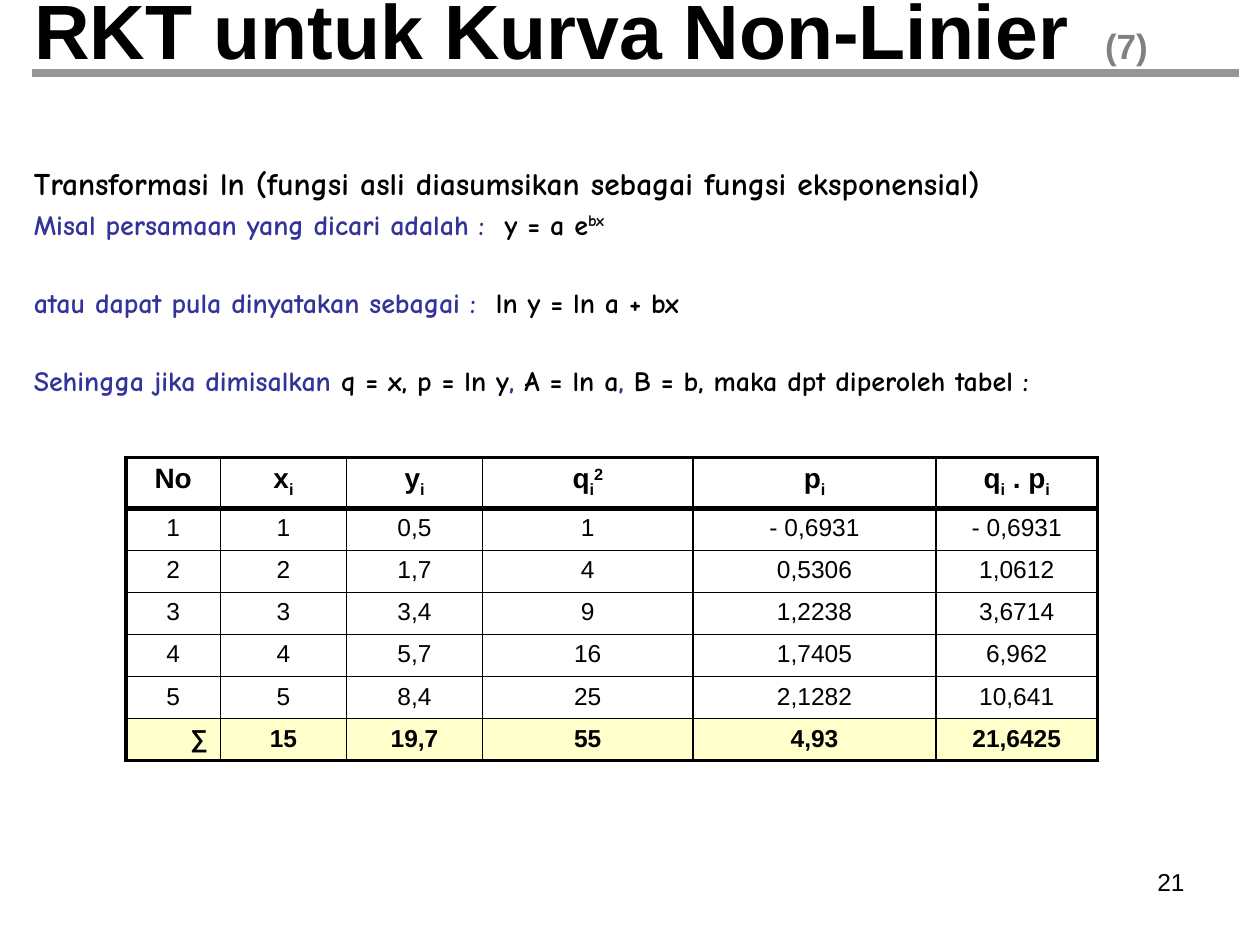
from dataclasses import dataclass

from lxml.etree import SubElement
from pptx import Presentation
from pptx.dml.color import RGBColor as Rgb
from pptx.enum.shapes import MSO_CONNECTOR as Link
from pptx.enum.text import MSO_ANCHOR as Anchor, MSO_AUTO_SIZE as Fit, PP_ALIGN as Align
from pptx.oxml import parse_xml
from pptx.oxml.ns import nsdecls, qn
from pptx.util import Inches, Pt


@dataclass(frozen=True)
class Theme:
    """Colours, fonts and type sizes of the slide."""
    ink: str = "000000"
    blue: str = "333399"
    grey: str = "808080"
    rule: str = "969696"
    sum: str = "FFFFCC"
    sans: str = "Arial"
    hand: str = "Comic Neue"
    title: int = 44
    mark: int = 20
    lead: int = 18
    body: int = 16
    cell: int = 14


T = Theme()
SUB = {"base": -25}
SUP = {"base": 30}
BLUE = {"color": T.blue}
LINE, GAP = 3.2, 25.5

HEAD = [
    ["No"],
    ["x", ("i", SUB)],
    ["y", ("i", SUB)],
    ["q", ("i", SUB), ("2", SUP)],
    ["p", ("i", SUB)],
    ["q", ("i", SUB), " . p", ("i", SUB)],
]
ROWS = [
    ["1", "1", "0,5", "1", "- 0,6931", "- 0,6931"],
    ["2", "2", "1,7", "4", "0,5306", "1,0612"],
    ["3", "3", "3,4", "9", "1,2238", "3,6714"],
    ["4", "4", "5,7", "16", "1,7405", "6,962"],
    ["5", "5", "8,4", "25", "2,1282", "10,641"],
    ["∑", "15", "19,7", "55", "4,93", "21,6425"],
]
COLS = [0.75, 1, 1.08, 1.67, 1.93, 1.28]
BODY = [
    (0, T.lead, ["Transformasi ln (fungsi asli diasumsikan sebagai fungsi eksponensial)"]),
    (LINE, T.body, [("Misal persamaan yang dicari adalah :  ", BLUE), "y = a e", ("bx", SUP)]),
    (GAP, T.body, [("atau dapat pula dinyatakan sebagai :  ", BLUE), "ln y = ln a + bx"]),
    (GAP, T.body, [("Sehingga jika dimisalkan ", BLUE), "q = x, p = ln y", (", ", BLUE),
                   "A = ln a", (", ", BLUE), "B = b, maka dpt diperoleh tabel :"]),
]


def write(para, parts, align=Align.LEFT, before=0, **form):
    """Fill a paragraph with plain or specially formatted runs."""
    para.alignment = align
    para.space_before = Pt(before)
    for part in parts:
        words, own = (part, {}) if isinstance(part, str) else part
        look = {"font": T.sans, "size": T.cell, "color": T.ink, "bold": False, **form, **own}
        run = para.add_run()
        run.text = words
        run.font.name = look["font"]
        run.font.size = Pt(look["size"])
        run.font.bold = look["bold"]
        run.font.color.rgb = Rgb.from_string(look["color"])
        if "base" in look:
            run.font._element.set("baseline", str(look["base"] * 1000))


def place(shape, box):
    """Move a shape to a box given in inches."""
    shape.left, shape.top, shape.width, shape.height = map(Inches, box)


def add_title(slide, box, stop):
    """Set the title, with its part number at a tab stop."""
    shape = slide.shapes.title
    place(shape, box)
    frame = shape.text_frame
    frame.auto_size = Fit.NONE
    frame.vertical_anchor = Anchor.MIDDLE
    para = frame.paragraphs[0]
    write(para, ["RKT untuk Kurva Non-Linier", ("\t(7)", {"size": T.mark, "color": T.grey})],
          size=T.title, bold=True)
    tabs = SubElement(para._p.get_or_add_pPr(), qn("a:tabLst"))
    SubElement(tabs, qn("a:tab"), pos=str(Inches(stop)), algn="l")


def add_rule(slide, left, top, width):
    """Draw the rule below the title."""
    line = slide.shapes.add_connector(
        Link.STRAIGHT, Inches(left), Inches(top), Inches(left + width), Inches(top))
    line.line.color.rgb = Rgb.from_string(T.rule)
    line.line.width = Pt(4.5)
    SubElement(line._element.spPr, qn("a:effectLst"))


def add_text(slide, box, items, **form):
    """Add a text box with one paragraph for each item."""
    frame = slide.shapes.add_textbox(*map(Inches, box)).text_frame
    frame.word_wrap = True
    for at, (before, size, parts) in enumerate(items):
        para = frame.add_paragraph() if at else frame.paragraphs[0]
        write(para, parts, before=before, size=size, **form)


def edge(cell, **sides):
    """Set the border widths of a cell, in points."""
    props = cell._tc.get_or_add_tcPr()
    for at, side in enumerate("LRTB"):
        props.insert(at, parse_xml(
            f'<a:ln{side} {nsdecls("a")} w="{Pt(sides[side])}"><a:solidFill>'
            f'<a:srgbClr val="{T.ink}"/></a:solidFill></a:ln{side}>'))


def add_grid(slide, left, top, head, row):
    """Add the table with its header and sum row."""
    data = [HEAD] + [[[word] for word in line] for line in ROWS]
    last, end = len(data) - 1, len(COLS) - 1
    high = head + row * last
    table = slide.shapes.add_table(
        last + 1, end + 1, *map(Inches, (left, top, sum(COLS), high))).table
    table.first_row = table.horz_banding = False
    for col, width in zip(table.columns, COLS):
        col.width = Inches(width)
    for r, line in enumerate(data):
        table.rows[r].height = Inches(row if r else head)
        for c, parts in enumerate(line):
            cell = table.cell(r, c)
            if r == last:
                cell.fill.solid()
                cell.fill.fore_color.rgb = Rgb.from_string(T.sum)
            else:
                cell.fill.background()
            write(cell.text_frame.paragraphs[0], parts, bold=r in (0, last),
                  size=T.cell if r else T.body,
                  align=Align.RIGHT if (r, c) == (last, 0) else Align.CENTER)
            edge(cell, L=1 if c else 2.25, R=2.25 if c == end else 1,
                 T={0: 2.25, 1: 3}.get(r, 1), B={0: 3, last: 2.25}.get(r, 1))


def main():
    """Build and save the slide."""
    deck = Presentation()
    deck.slide_width, deck.slide_height = Inches(10), Inches(7.5)
    slide = deck.slides.add_slide(deck.slide_layouts[5])
    add_text(slide, (7.17, 6.83, 2.33, 0.52), [(0, T.cell, ["21"])], align=Align.RIGHT)
    add_title(slide, (0.17, 0, 9.25, 0.45), 8.5)
    add_rule(slide, 0.25, 0.58, 9.58)
    add_text(slide, (0.17, 1.25, 9.67, 2), BODY, font=T.hand, bold=True)
    add_grid(slide, 1, 3.63, 0.37, 0.33)
    deck.save("out.pptx")


if __name__ == "__main__":
    main()
